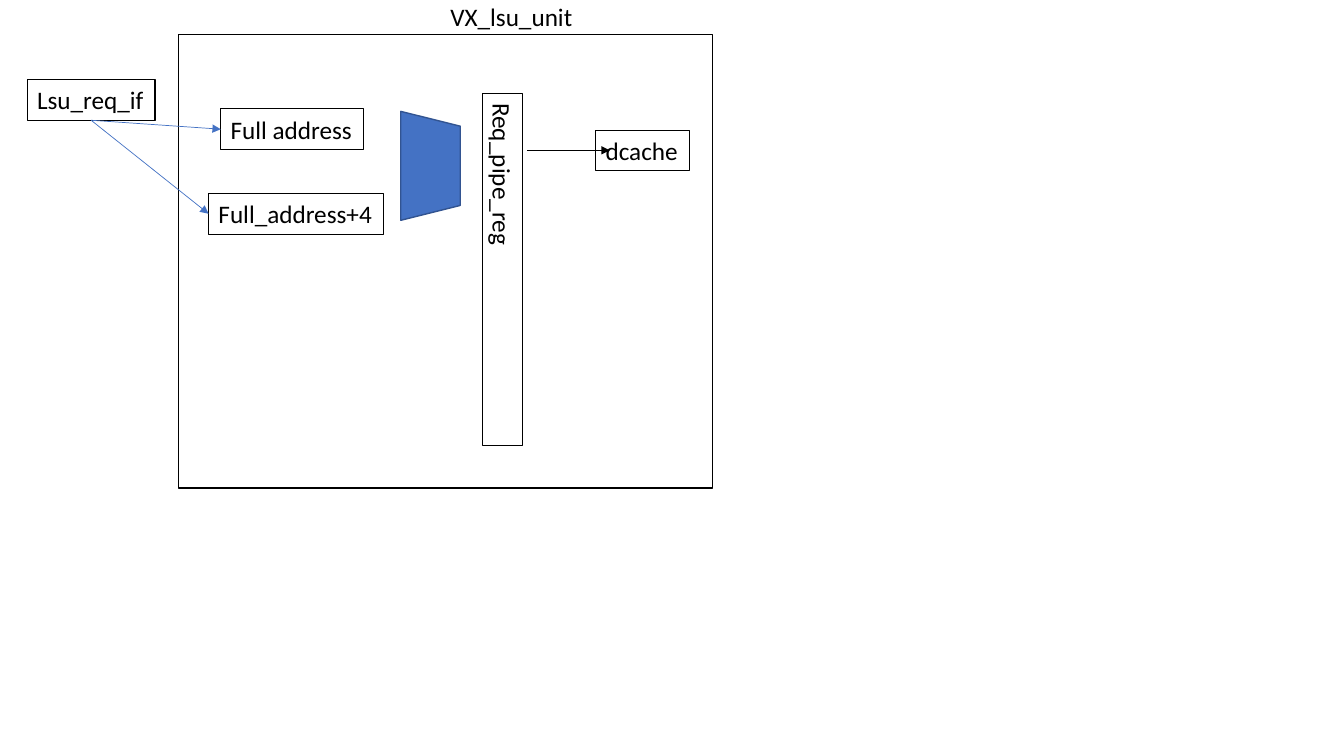
import pptx
import pptx.dml.color
import pptx.enum.shapes
import pptx.enum.text
import pptx.oxml.ns
import pptx.util
import lxml.etree

Pt = pptx.util.Pt
SHAPES = pptx.enum.shapes.MSO_SHAPE
BLACK, BLUE, DARK_BLUE = "000000", "4472C4", "325491"
LABEL_HEIGHT = 29
BOTTOM_SITE, LEFT_SITE = 2, 1


def color(value):
    """Return the RGB color for a hex string."""
    return pptx.dml.color.RGBColor.from_string(value)


def write(shape, text, size=18, font="Calibri", ink=BLACK, wrap=False):
    """Put left-aligned text at the top of a shape."""
    frame = shape.text_frame
    frame.word_wrap = wrap
    frame.auto_size = pptx.enum.text.MSO_AUTO_SIZE.SHAPE_TO_FIT_TEXT
    frame.vertical_anchor = pptx.enum.text.MSO_ANCHOR.TOP
    paragraph = frame.paragraphs[0]
    paragraph.alignment = pptx.enum.text.PP_ALIGN.LEFT
    run = paragraph.add_run()
    run.text = text
    run.font.size = Pt(size)
    run.font.name = font
    run.font.color.rgb = color(ink)


def add_block(slide, box, kind=SHAPES.RECTANGLE, fill=None, line=BLACK, weight=0.75, turn=0):
    """Draw an outlined preset shape in a box of left, top, width, height."""
    block = slide.shapes.add_shape(kind, *map(Pt, box))
    block.shadow.inherit = False
    block.rotation = turn
    if fill:
        block.fill.solid()
        block.fill.fore_color.rgb = color(fill)
    else:
        block.fill.background()
    block.line.color.rgb = color(line)
    block.line.width = Pt(weight)
    return block


def add_label(slide, text, left, top, width, turn=0, wrap=False):
    """Draw an outlined one-line label."""
    label = add_block(slide, (left, top, width, LABEL_HEIGHT), turn=turn)
    write(label, text, wrap=wrap)
    return label


def add_arrow(slide, start=(0, 0), end=(0, 0), line=BLACK):
    """Draw a thin straight arrow with a triangle at its end."""
    arrow = slide.shapes.add_connector(
        pptx.enum.shapes.MSO_CONNECTOR.STRAIGHT, *map(Pt, (*start, *end)))
    arrow.line.color.rgb = color(line)
    arrow.line.width = Pt(0.5)
    qn = pptx.oxml.ns.qn
    lxml.etree.SubElement(arrow.line._get_or_add_ln(), qn("a:tailEnd"), type="triangle")
    lxml.etree.SubElement(arrow._element.spPr, qn("a:effectLst"))
    return arrow


def add_lsu_unit(slide, left, top, width, height):
    """Draw the load-store unit and return its two address labels."""
    full_address = add_label(slide, "Full address", left + 30.2, top + 53.3, 102.2)
    add_label(slide, "Req_pipe_reg", left + 105.8, top + 153.3, 251.3, turn=90, wrap=True)
    add_block(slide, (left, top, width, height), weight=1)
    unit_name = slide.shapes.add_textbox(
        *map(Pt, (left + 187.1, top - 27.4, 103, LABEL_HEIGHT)))
    write(unit_name, "VX_lsu_unit")
    add_label(slide, "dcache", left + 298, top + 68.4, 67)
    request_y = top + 82.9
    add_arrow(slide, (left + 249.1, request_y), (left + 308.1, request_y))
    next_address = add_label(slide, "Full_address+4", left + 21.5, top + 113.7, 125.3)
    add_block(slide, (left + 141.1, top + 72.7, 77.8, 42.5), kind=SHAPES.TRAPEZOID,
              fill=BLUE, line=DARK_BLUE, weight=1, turn=90)
    return full_address, next_address


def add_request(slide, left, top, width, addresses):
    """Draw the request interface and its arrows to the addresses."""
    request = add_label(slide, "Lsu_req_if", left, top, width)
    for address in addresses:
        arrow = add_arrow(slide, line=BLUE)
        arrow.begin_connect(request, BOTTOM_SITE)
        arrow.end_connect(address, LEFT_SITE)


def main():
    """Build and save the slide."""
    deck = pptx.Presentation()
    deck.slide_width, deck.slide_height = Pt(960), Pt(540)
    slide = deck.slides.add_slide(deck.slide_layouts[6])
    addresses = add_lsu_unit(slide, 127.5, 24.5, 381.6, 324)
    add_request(slide, 19.4, 56.9, 91.4, addresses)
    deck.save("out.pptx")


main()
